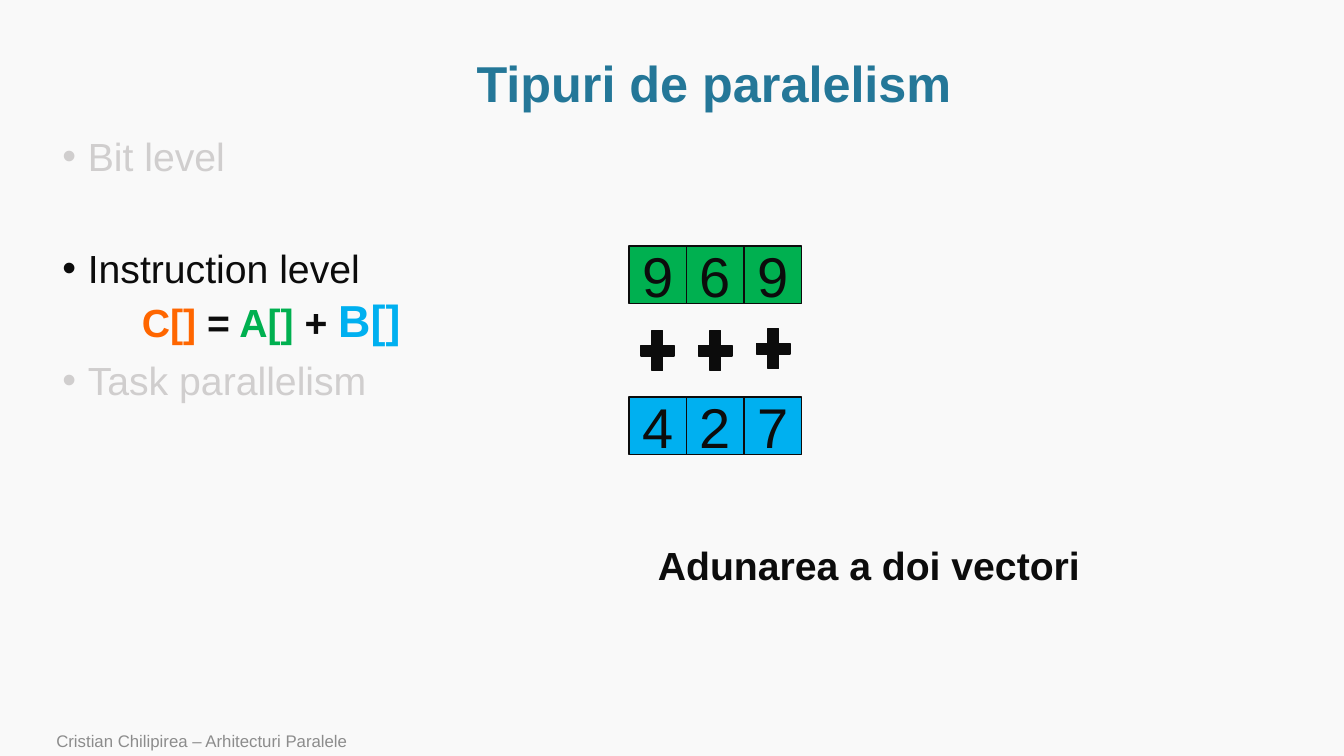
from dataclasses import dataclass

from lxml import etree
from pptx import Presentation
from pptx.dml.color import RGBColor
from pptx.enum.shapes import MSO_SHAPE
from pptx.enum.text import MSO_ANCHOR, MSO_AUTO_SIZE, PP_ALIGN
from pptx.oxml.ns import qn
from pptx.util import Cm, Pt

RECTANGLE, PLUS = MSO_SHAPE.RECTANGLE, MSO_SHAPE.MATH_PLUS
LEFT, CENTER = PP_ALIGN.LEFT, PP_ALIGN.CENTER
TOP, MIDDLE, BOTTOM = MSO_ANCHOR.TOP, MSO_ANCHOR.MIDDLE, MSO_ANCHOR.BOTTOM
NO_AUTOFIT = MSO_AUTO_SIZE.NONE


@dataclass(frozen=True)
class Theme:
    font: str = "Arial"
    background: str = "F9F9F9"
    title: str = "247798"
    ink: str = "0C0C0C"
    faded: str = "D0CECE"
    footer: str = "8C8C8C"
    orange: str = "FF6600"
    green: str = "00B050"
    blue: str = "00B0F0"
    title_size: int = 36
    body_size: int = 28
    large_size: int = 32
    digit_size: int = 40
    footer_size: int = 12


class SlideBuilder:
    def __init__(self, slide, theme):
        self.slide, self.theme = slide, theme
        fill = slide.background.fill
        fill.solid()
        fill.fore_color.rgb = RGBColor.from_string(theme.background)

    def place(self, shape, left, top, width, height):
        shape.left, shape.top = Cm(left), Cm(top)
        shape.width, shape.height = Cm(width), Cm(height)

    def format_span(self, span, color, size, bold=False):
        font = span.font
        font.name, font.size, font.bold = self.theme.font, Pt(size), bold
        font.color.rgb = RGBColor.from_string(color)

    def set_text(self, shape, text, color, size, bold=False, align=LEFT, anchor=TOP):
        frame = shape.text_frame
        frame.text = text
        frame.vertical_anchor = anchor
        para = frame.paragraphs[0]
        para.alignment = align
        self.format_span(para.runs[0], color, size, bold)
        return para

    def title(self, text, *area):
        shape = self.slide.shapes.title
        self.place(shape, *area)
        para = self.set_text(shape, text, self.theme.title, self.theme.title_size,
                             True, CENTER, MIDDLE)
        para.line_spacing = 0.9
        shape.text_frame.auto_size = NO_AUTOFIT

    def body(self, items, *area):
        """Each item is (bulleted, space before, spans)."""
        shape = self.slide.placeholders[1]
        self.place(shape, *area)
        frame = shape.text_frame
        frame.auto_size = NO_AUTOFIT
        for index, (bulleted, space, spans) in enumerate(items):
            para = frame.paragraphs[0] if index == 0 else frame.add_paragraph()
            self.set_bullet(para, bulleted)
            para.line_spacing, para.space_before = 0.9, Pt(space)
            for text, color, size, bold in spans:
                span = para.add_run()
                span.text = text
                self.format_span(span, color, size, bold)

    def set_bullet(self, para, bulleted):
        para.level = 0 if bulleted else 1
        properties = para._p.get_or_add_pPr()
        margin, indent = (0.64, -0.64) if bulleted else (2, 0)
        properties.set("marL", str(Cm(margin)))
        properties.set("indent", str(Cm(indent)))
        if bulleted:
            etree.SubElement(properties, qn("a:buFont")).set("typeface", self.theme.font)
            etree.SubElement(properties, qn("a:buChar")).set("char", "•")
        else:
            etree.SubElement(properties, qn("a:buNone"))

    def label(self, text, area, color, size, bold=False, anchor=TOP, wrap=True):
        box = self.slide.shapes.add_textbox(*map(Cm, area))
        box.text_frame.word_wrap = wrap
        self.set_text(box, text, color, size, bold, anchor=anchor)

    def shape(self, kind, color, *area):
        shape = self.slide.shapes.add_shape(kind, *map(Cm, area))
        shape.shadow.inherit = False
        shape.fill.solid()
        shape.fill.fore_color.rgb = RGBColor.from_string(color)
        shape.line.color.rgb = RGBColor.from_string(self.theme.ink)
        shape.line.width = Pt(1)
        return shape

    def vector(self, digits, color, left, top, side):
        for column, digit in enumerate(digits):
            cell = self.shape(RECTANGLE, color, left + column * side, top, side, side)
            self.set_text(cell, digit, self.theme.ink, self.theme.digit_size,
                          align=CENTER, anchor=MIDDLE)


def main():
    deck = Presentation()
    deck.slide_width, deck.slide_height = Cm(33.87), Cm(19.05)
    theme = Theme()
    page = SlideBuilder(deck.slides.add_slide(deck.slide_layouts[1]), theme)

    # Title and list of parallelism types
    page.title("Tipuri de paralelism", 2.9, 1.3, 30.2, 1.75)
    size = theme.body_size
    formula = [
        ("C[] ", theme.orange, size, True),
        ("=", theme.ink, size, True),
        (" A[]", theme.green, size, True),
        (" + ", theme.ink, size, True),
        ("B[]", theme.blue, theme.large_size, True),
    ]
    page.body([
        (True, 0, [("Bit level", theme.faded, size, False)]),
        (True, 50, [("Instruction level", theme.ink, size, False)]),
        (False, 5, formula),
        (True, 10, [("Task parallelism", theme.faded, size, False)]),
    ], 1.32, 3.33, 31.78, 13.84)

    # Footer
    page.label("Cristian Chilipirea – Arhitecturi Paralele", (1.17, 18.34, 24.94, 0.71),
               theme.footer, theme.footer_size, anchor=BOTTOM)

    # Two vectors added digit by digit
    page.vector("969", theme.green, 15.85, 6.2, 1.45)
    page.vector("427", theme.blue, 15.85, 10, 1.45)
    for column, top in enumerate((8.15, 8.15, 8.1)):
        page.shape(PLUS, theme.ink, 16 + column * 1.46, top, 1.14, 1.37)

    # Caption
    page.label("Adunarea a doi vectori", (16.33, 13.51, 11.28, 1.45),
               theme.ink, size, bold=True, wrap=False)

    deck.save("out.pptx")


if __name__ == "__main__":
    main()
